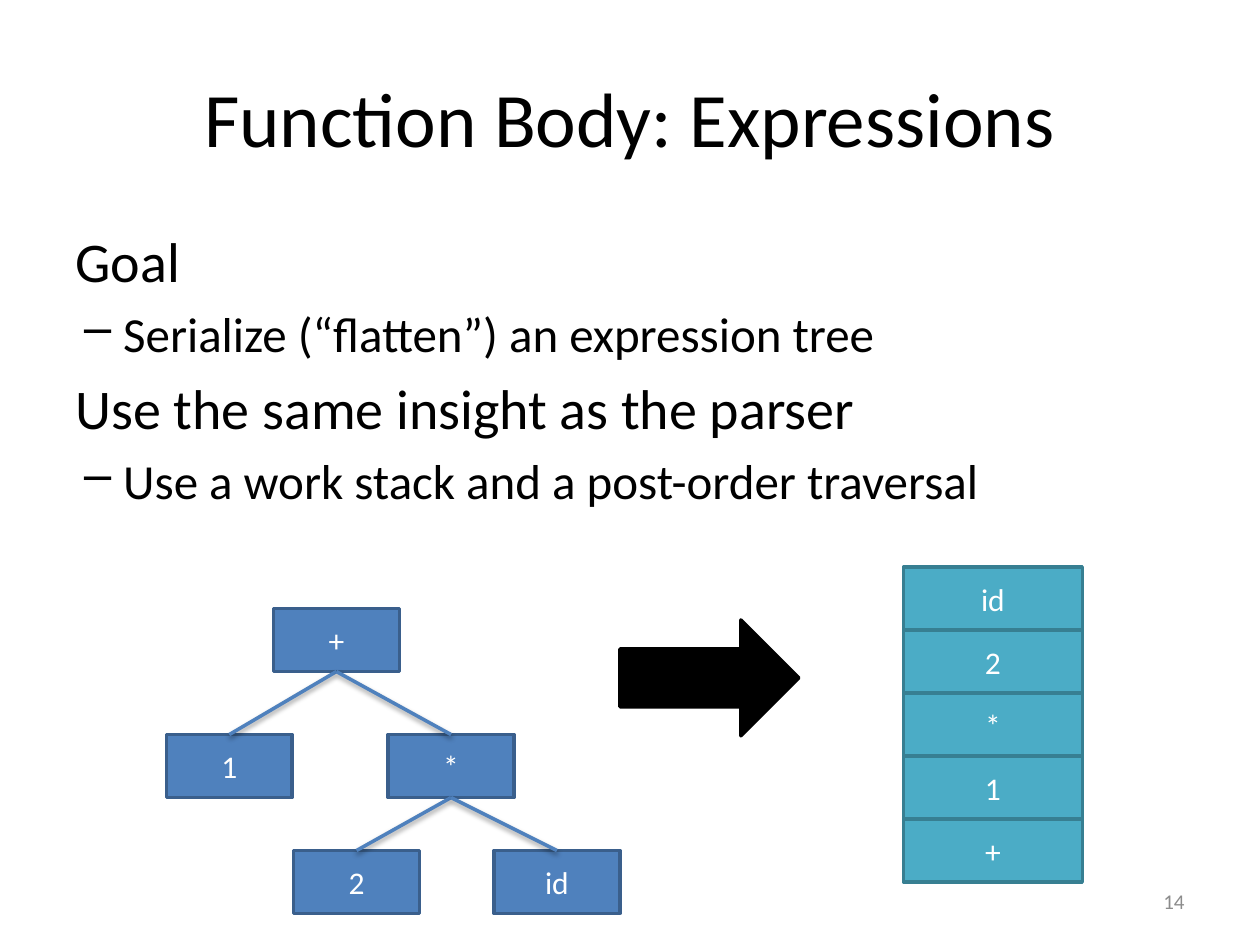
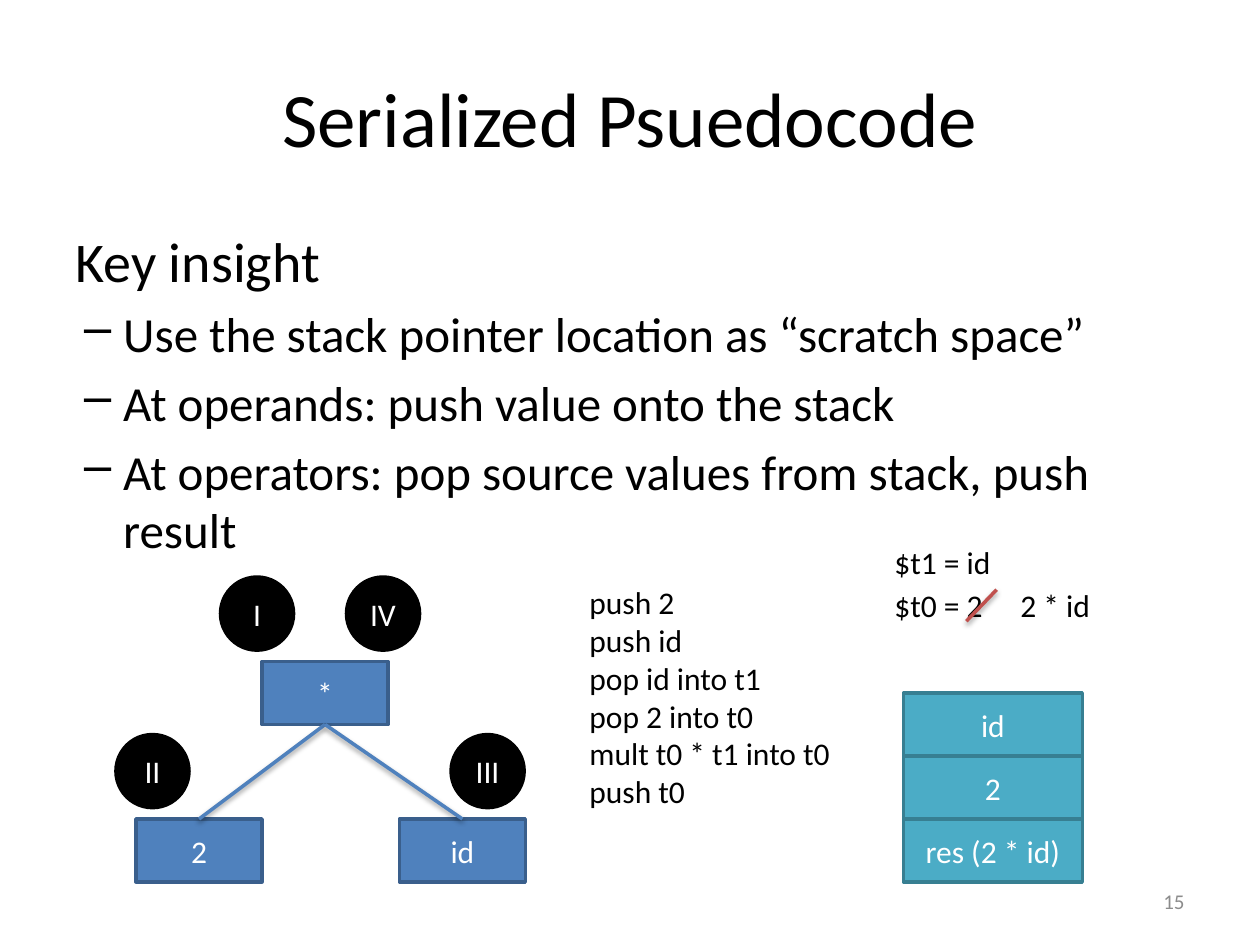
import pptx
import pptx.util
import pptx.dml.color
import pptx.enum.shapes
import pptx.enum.text
import pptx.oxml.ns
import lxml.etree
from dataclasses import dataclass

Inches = pptx.util.Inches
Pt = pptx.util.Pt
Kind = pptx.enum.shapes.MSO_SHAPE
Align = pptx.enum.text.PP_ALIGN
Anchor = pptx.enum.text.MSO_ANCHOR
Fit = pptx.enum.text.MSO_AUTO_SIZE
qn = pptx.oxml.ns.qn


# Colours and type sizes
@dataclass(frozen=True)
class Theme:
    font: str = "Calibri"
    ink: str = "000000"
    paper: str = "FFFFFF"
    gray: str = "8C8C8C"
    red: str = "C0504D"
    node: tuple = ("4F81BD", "3A5F8C")
    cell: tuple = ("4BACC6", "377F92")
    dark: tuple = ("000000", "000000")
    title: int = 44
    head: int = 32
    item: int = 28
    label: int = 18
    foot: int = 12
    rule: int = 2


T = Theme()


# Basic parts
def color(code):
    return pptx.dml.color.RGBColor.from_string(code)


def apply(thing, **form):
    for name, value in form.items():
        setattr(thing, name, value)


def child(node, tag, **attrs):
    part = lxml.etree.SubElement(node, qn(tag))
    for name, value in attrs.items():
        part.set(name, str(value))
    return part


def write(para, text, size, ink=T.ink, align=Align.LEFT):
    run = para.add_run()
    run.text = text
    apply(run.font, name=T.font, size=Pt(size))
    run.font.color.rgb = color(ink)
    para.alignment = align


def text(slide, box, lines, size, ink=T.ink, align=Align.LEFT,
         anchor=Anchor.TOP, wrap=True):
    frame = slide.shapes.add_textbox(*map(Inches, box)).text_frame
    apply(frame, word_wrap=wrap, vertical_anchor=anchor,
          auto_size=Fit.NONE if wrap else Fit.SHAPE_TO_FIT_TEXT)
    for i, line in enumerate(lines):
        para = frame.add_paragraph() if i else frame.paragraphs[0]
        write(para, line, size, ink, align)
    return frame


def block(slide, kind, box, pair, label=""):
    shape = slide.shapes.add_shape(kind, *map(Inches, box))
    shape.shadow.inherit = False
    shape.fill.solid()
    shape.fill.fore_color.rgb = color(pair[0])
    shape.line.color.rgb = color(pair[1])
    shape.line.width = Pt(T.rule)
    if label:
        frame = shape.text_frame
        apply(frame, word_wrap=True, vertical_anchor=Anchor.MIDDLE)
        write(frame.paragraphs[0], label, T.label, T.paper, Align.CENTER)


def link(slide, start, end, ink):
    line = slide.shapes.add_connector(
        pptx.enum.shapes.MSO_CONNECTOR.STRAIGHT, *map(Inches, start + end))
    line.line.color.rgb = color(ink)
    line.line.width = Pt(T.rule)
    glow = child(child(line._element.spPr, "a:effectLst"), "a:outerShdw",
                 blurRad=Pt(3.1), dist=Pt(1.6), dir=90 * 60000,
                 rotWithShape=0)
    child(child(glow, "a:srgbClr", val=T.ink), "a:alpha", val=38000)


# Title and page number
def base(deck, title, page):
    slide = deck.slides.add_slide(deck.slide_layouts[6])
    text(slide, (0.5, 0.3, 9, 1.25), [title], T.title,
         align=Align.CENTER, anchor=Anchor.MIDDLE)
    text(slide, (7.17, 6.95, 2.33, 0.4), [str(page)], T.foot, T.gray,
         Align.RIGHT, Anchor.MIDDLE)
    return slide


# Headings (level 0) and dashed points (level 1)
def body(slide, box, rows):
    frame = text(slide, box, [], T.head)
    for i, (level, line) in enumerate(rows):
        para = frame.add_paragraph() if i else frame.paragraphs[0]
        write(para, line, T.item if level else T.head)
        para.level = level
        props = para._p.get_or_add_pPr()
        child(child(props, "a:spcBef"), "a:spcPct", val=20000)
        if level:
            props.set("marL", str(Inches(0.38)))
            props.set("indent", str(Inches(-0.31)))
            child(props, "a:buChar", char="\u2013")


# Tree: each node is (x, y, label, parent index), offset from the box
def tree(slide, box, nodes):
    left, top = box
    wide, high = 1, 0.5
    for x, y, label, _ in nodes:
        block(slide, Kind.RECTANGLE, (left + x, top + y, wide, high),
              T.node, label)
    for x, y, _, up in nodes:
        if up is not None:
            px, py = nodes[up][:2]
            link(slide, (left + px + wide / 2, top + py + high),
                 (left + x + wide / 2, top + y), T.node[0])


# Stack: equal cells that rest on the foot of the box
def stack(slide, box, labels):
    left, foot, wide = box
    high = 0.5
    for i, label in enumerate(reversed(labels), 1):
        block(slide, Kind.RECTANGLE, (left, foot - i * high, wide, high),
              T.cell, label)


# Numbered visits around a tree
def steps(slide, box, marks):
    left, top = box
    for x, y, label in marks:
        block(slide, Kind.OVAL, (left + x, top + y, 0.58, 0.58),
              T.dark, label)


# Register values, the old one struck out
def values(slide, box):
    left, top = box
    for x, y, wide, line in ((0, 0, 0.98, "$t1 = id"),
                             (0, 0.34, 0.91, "$t0 = 2"),
                             (1, 0.34, 0.76, "2 * id")):
        text(slide, (left + x, top + y, wide, 0.4), [line], T.label,
             wrap=False)
    link(slide, (left + 0.91, top + 0.42), (left + 0.67, top + 0.67), T.red)


BODY = (0.5, 1.75, 9, 4.95)
STACK = (7.17, 7, 1.42)


def goal(deck):
    slide = base(deck, "Function Body: Expressions", 14)
    body(slide, BODY, [
        (0, "Goal"),
        (1, "Serialize (“flatten”) an expression tree"),
        (0, "Use the same insight as the parser"),
        (1, "Use a work stack and a post-order traversal")])
    tree(slide, (1.32, 4.83), [
        (0.85, 0, "+", None), (0, 1, "1", 0), (1.76, 1, "*", 0),
        (1.01, 1.92, "2", 2), (2.6, 1.92, "id", 2)])
    stack(slide, STACK, ["id", "2", "*", "1", "+"])
    block(slide, Kind.RIGHT_ARROW, (4.92, 4.92, 1.42, 0.92), T.dark)


def code(deck):
    slide = base(deck, "Serialized Psuedocode", 15)
    body(slide, BODY, [
        (0, "Key insight"),
        (1, "Use the stack pointer location as “scratch space”"),
        (1, "At operands: push value onto the stack"),
        (1, "At operators: pop source values from stack, push result")])
    tree(slide, (1.08, 5.25), [
        (1, 0, "*", None), (0, 1.25, "2", 0), (2.09, 1.25, "id", 0)])
    stack(slide, STACK, ["id", "2", "res (2 * id)"])
    steps(slide, (0.92, 4.58), [
        (0.83, 0, "I"), (0, 1.25, "II"), (2.66, 1.25, "III"),
        (1.83, 0, "IV")])
    values(slide, (7, 4.26))
    text(slide, (4.58, 4.58, 2.13, 1.92), [
        "push 2", "push id", "pop id into t1", "pop 2 into t0",
        "mult t0 * t1 into t0", "push t0"], T.label, wrap=False)


deck = pptx.Presentation()
apply(deck, slide_width=Inches(10), slide_height=Inches(7.5))
goal(deck)
code(deck)
deck.save("out.pptx")
